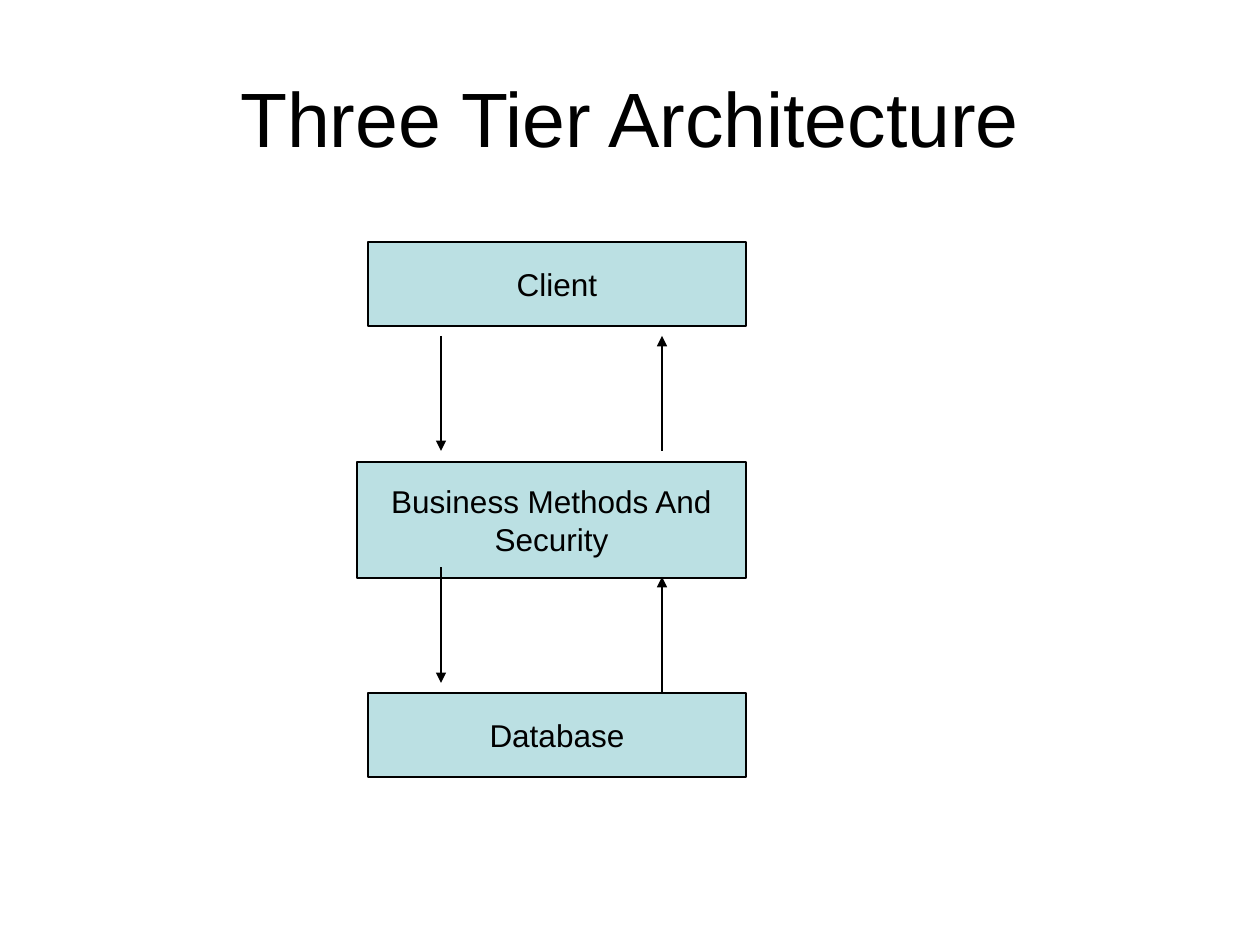
from lxml import etree
from pptx import Presentation
from pptx.dml.color import RGBColor
from pptx.enum.shapes import MSO_CONNECTOR, MSO_SHAPE
from pptx.enum.text import MSO_ANCHOR, PP_ALIGN
from pptx.oxml.ns import qn
from pptx.util import Pt

LINE = MSO_CONNECTOR.STRAIGHT
RECT = MSO_SHAPE.RECTANGLE
MIDDLE = MSO_ANCHOR.MIDDLE
CENTER = PP_ALIGN.CENTER
BLACK = RGBColor(0x00, 0x00, 0x00)
TEAL = RGBColor(0xBB, 0xE0, 0xE3)
FONT = "Arial"
SCALE = 914400 / 126

TIERS = [
    (["Client"], 11, 0, 378, 84),
    (["Business Methods And", "Security"], 0, 220, 389, 116),
    (["Database"], 11, 451, 378, 84),
]
ARROWS = [(84, 94, 209), (305, 209, 94), (84, 325, 441), (305, 451, 335)]


def px(*sizes):
    """Turn pixel lengths into EMU."""
    return [round(size * SCALE) for size in sizes]


def write(frame, lines, size):
    """Fill a text frame with centred lines."""
    frame.vertical_anchor = MIDDLE
    frame.text = "\n".join(lines)
    for para in frame.paragraphs:
        para.alignment = CENTER
        para.font.name = FONT
        para.font.size = Pt(size)
        para.font.color.rgb = BLACK


def add_title(slide, text, left, top, width, height):
    """Place the slide title in its box."""
    title = slide.shapes.title
    title.left, title.top, title.width, title.height = px(left, top, width, height)
    write(title.text_frame, [text], 44)


def add_tier(slide, lines, left, top, width, height):
    """Draw one labelled tier."""
    tier = slide.shapes.add_shape(RECT, *px(left, top, width, height))
    tier.shadow.inherit = False
    tier.fill.solid()
    tier.fill.fore_color.rgb = TEAL
    tier.line.color.rgb = BLACK
    tier.line.width = Pt(0.75)
    tier.text_frame.word_wrap = False
    write(tier.text_frame, lines, 18)


def add_arrow(slide, x, start, end):
    """Draw a vertical arrow from start to end."""
    arrow = slide.shapes.add_connector(LINE, *px(x, start, x, end))
    arrow.line.color.rgb = BLACK
    arrow.line.width = Pt(0.75)
    props = arrow.element.spPr
    etree.SubElement(props.find(qn("a:ln")), qn("a:tailEnd"), type="triangle")
    etree.SubElement(props, qn("a:effectLst"))


def add_stack(slide, left, top):
    """Draw the tiers and the arrows between them."""
    for lines, x, y, width, height in TIERS:
        add_tier(slide, lines, left + x, top + y, width, height)
    for x, start, end in ARROWS:
        add_arrow(slide, left + x, top + start, top + end)


def main():
    """Build and save the slide."""
    deck = Presentation()
    deck.slide_width, deck.slide_height = px(1260, 945)
    slide = deck.slides.add_slide(deck.slide_layouts[5])
    add_title(slide, "Three Tier Architecture", 63, 38, 1134, 158)
    add_stack(slide, 357, 242)
    deck.save("out.pptx")


if __name__ == "__main__":
    main()
